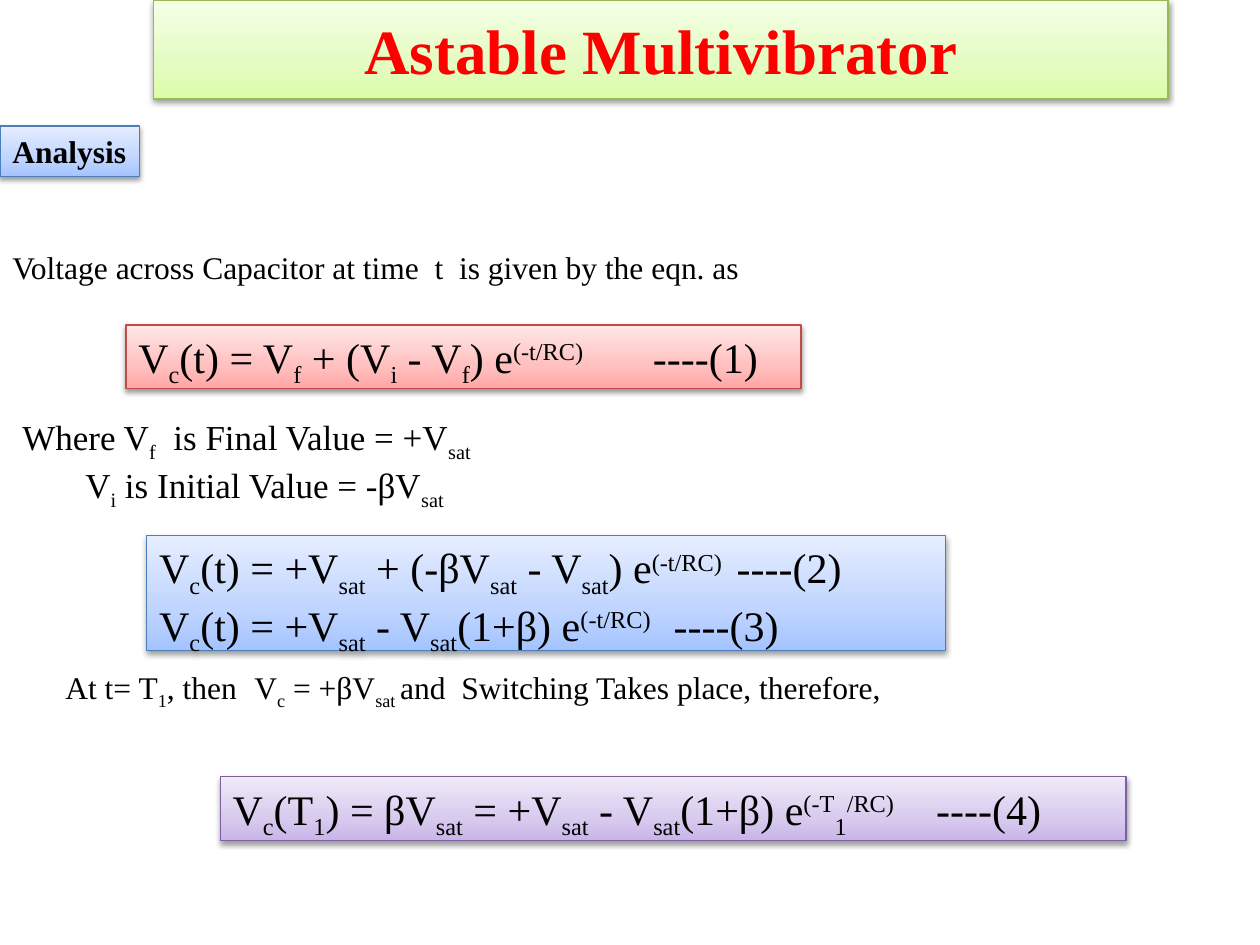
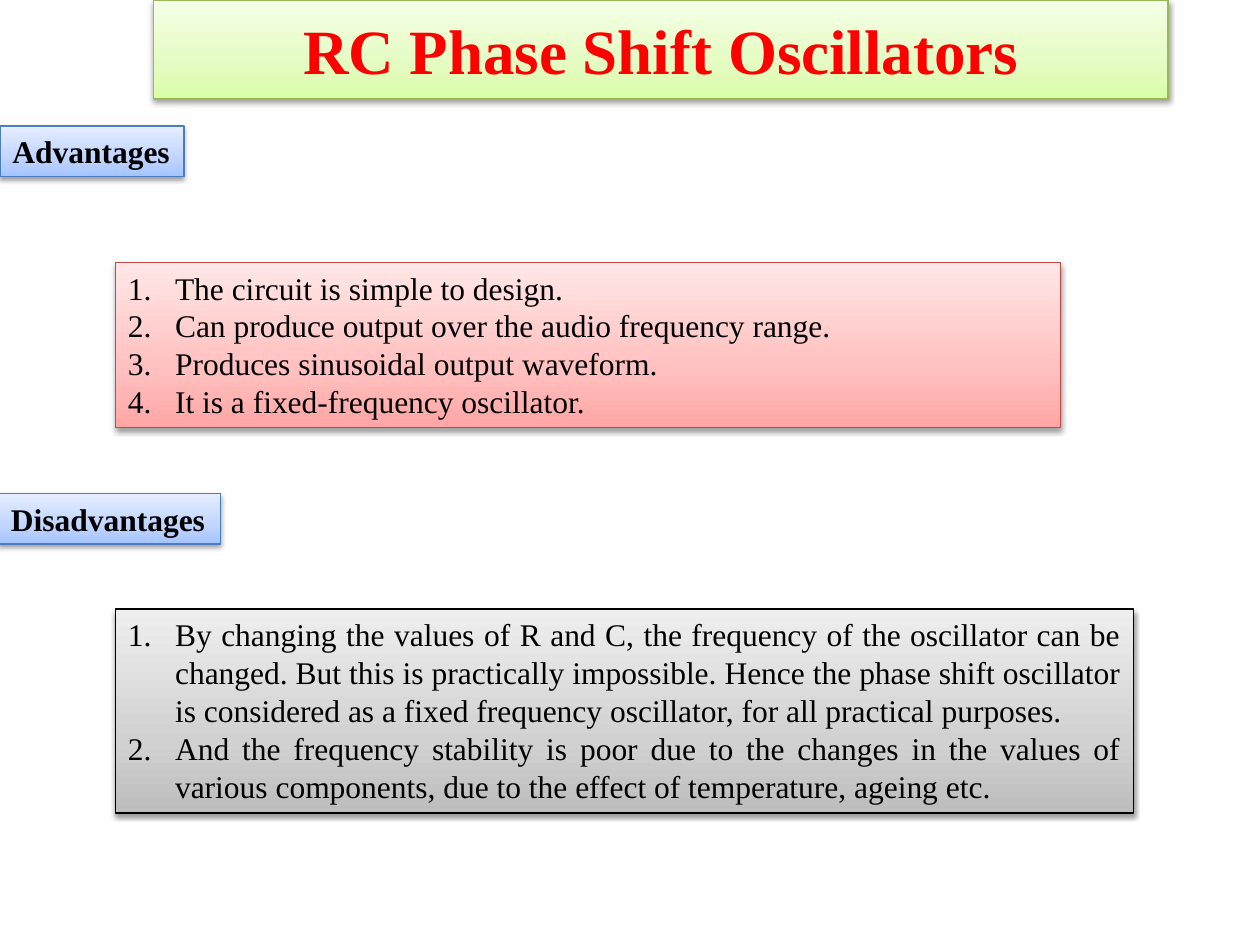
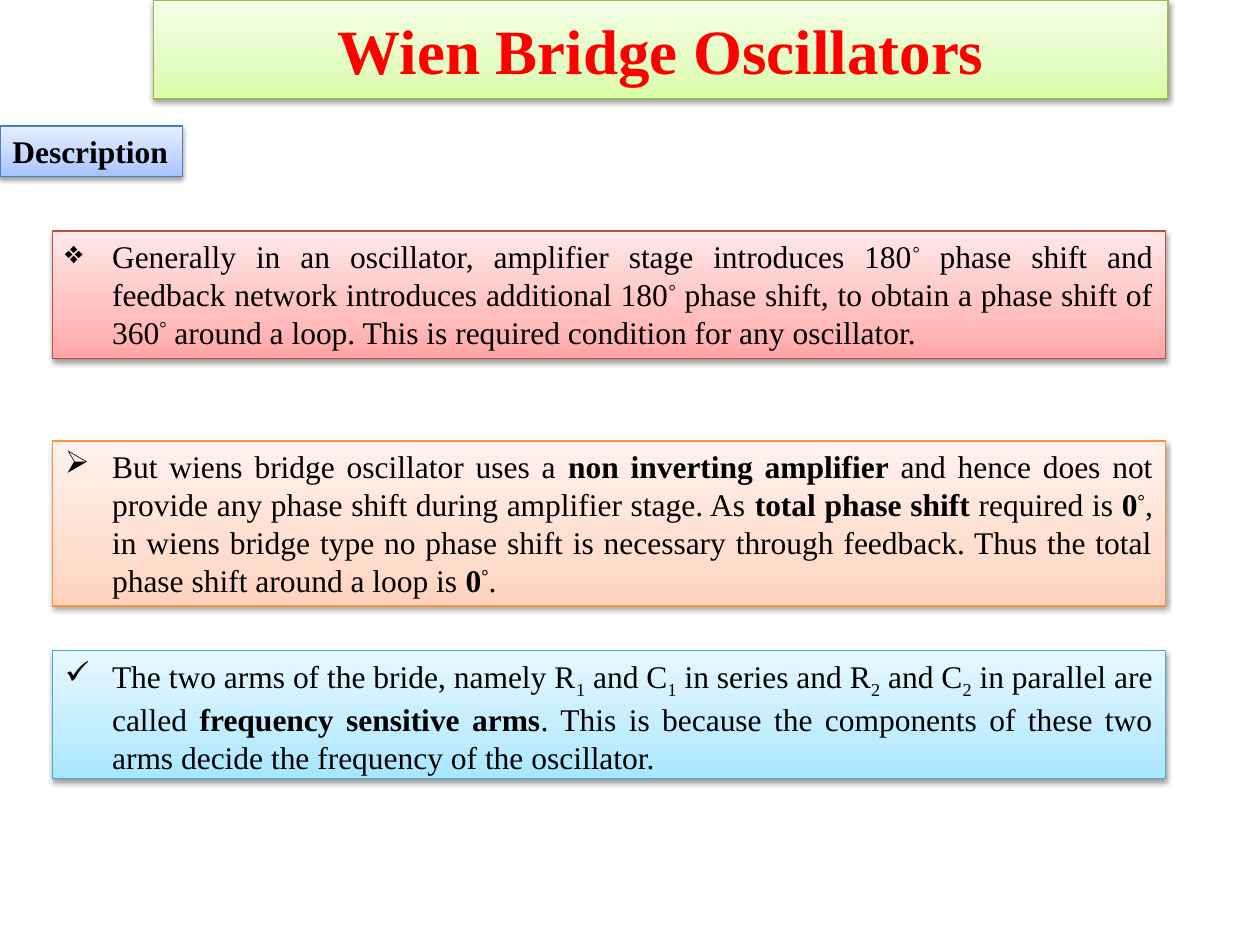
from lxml.etree import SubElement
from pptx import Presentation
from pptx.dml.color import RGBColor as RGB
from pptx.enum.shapes import MSO_SHAPE as SHAPE
from pptx.enum.text import MSO_ANCHOR as ANCHOR
from pptx.enum.text import MSO_AUTO_SIZE as AUTO
from pptx.enum.text import PP_ALIGN as ALIGN
from pptx.oxml.ns import qn
from pptx.util import Cm, Pt

FONT = "Times New Roman"
BLACK = RGB(0x00, 0x00, 0x00)
RED_TEXT = RGB(0xFF, 0x00, 0x00)


def palette(line, *stops):
    """Line colour, then gradient colours from bottom to top."""
    return RGB.from_string(line), [RGB.from_string(c) for c in stops]


GREEN = palette("98B955", "DAFDA7", "E4FCC2", "F5FFE7")
BLUE = palette("4B7EBC", "A4C4FF", "BFD4FF", "E6EEFF")
RED = palette("BF4C48", "FFA6A5", "FFC0BF", "FFE7E7")
PURPLE = palette("7D60A0", "C9B5E8", "D8CBEE", "F0EAF9")
GREY = palette("000000", "BDBDBD", "D1D1D1", "EEEEEE")
ORANGE = palette("F69240", "FFD2BD", "FFDED0", "FFF2ED")
AQUA = palette("46AAC5", "A7E6FF", "C1EDFF", "E7F8FF")
STOPS = (0, 35, 100)

BASELINE = {"~": -25000, "^": 30000}
INDENT = Cm(0.95)


def add_text(p, text, size=18, color=BLACK, bold=False):
    """Write runs; ~ toggles subscript, ^ superscript and * bold."""
    base, part = 0, ""
    for ch in text + "\n":
        if ch not in "~^*\n":
            part += ch
            continue
        if part:
            r = p.add_run()
            r.text = part
            f = r.font
            f.name, f.size, f.bold = FONT, Pt(size), bold
            f.color.rgb = color
            if base:
                r._r.get_or_add_rPr().set("baseline", str(base))
            part = ""
        if ch == "*":
            bold = not bold
        elif ch in BASELINE:
            base = 0 if base else BASELINE[ch]


def add_bullet(p, mark):
    """Hang the paragraph on a character, or on a number if mark is '1.'."""
    pPr = p._p.get_or_add_pPr()
    pPr.set("marL", str(INDENT))
    pPr.set("indent", str(-INDENT))
    if mark == "1.":
        SubElement(pPr, qn("a:buAutoNum"), type="arabicPeriod")
    else:
        SubElement(pPr, qn("a:buChar"), char=mark)


class Deck:
    def __init__(self):
        self.prs = Presentation()
        self.prs.slide_width, self.prs.slide_height = Cm(25.4), Cm(19.05)
        self.s = None

    def slide(self, title):
        self.s = self.prs.slides.add_slide(self.prs.slide_layouts[6])
        self.box((3.1, 0, 20.45, 2), [title], GREEN, size=36, color=RED_TEXT,
                 bold=True, align=ALIGN.CENTER, anchor=ANCHOR.MIDDLE,
                 wrap=True, grow=False)

    def style(self, sp, colors):
        """Gradient fill, thin line and soft shadow."""
        line, fills = colors
        sp.fill.gradient()
        sp.fill.gradient_angle = 90
        spPr = sp._element.spPr
        stops = spPr.find(qn("a:gradFill")).find(qn("a:gsLst"))
        for old in list(stops):
            stops.remove(old)
        for pos, rgb in zip(STOPS, fills):
            gs = SubElement(stops, qn("a:gs"), pos=str(pos * 1000))
            SubElement(gs, qn("a:srgbClr"), val=str(rgb))
        sp.line.color.rgb = line
        sp.line.width = Pt(0.75)
        sp.shadow.inherit = False
        shadow = SubElement(spPr.find(qn("a:effectLst")), qn("a:outerShdw"),
                            blurRad=str(Pt(3.1)), dist=str(Pt(1.6)),
                            dir="5400000", rotWithShape="0")
        rgb = SubElement(shadow, qn("a:srgbClr"), val=str(BLACK))
        SubElement(rgb, qn("a:alpha"), val="38000")

    def box(self, at, lines, colors=None, align=ALIGN.LEFT, anchor=ANCHOR.TOP,
            wrap=False, grow=True, bullet=None, **fmt):
        place = [Cm(v) for v in at]
        if colors:
            sp = self.s.shapes.add_shape(SHAPE.RECTANGLE, *place)
            self.style(sp, colors)
        else:
            sp = self.s.shapes.add_textbox(*place)
        tf = sp.text_frame
        tf.word_wrap, tf.vertical_anchor = wrap, anchor
        tf.auto_size = AUTO.SHAPE_TO_FIT_TEXT if grow else AUTO.NONE
        for i, line in enumerate(lines):
            p = tf.add_paragraph() if i else tf.paragraphs[0]
            p.alignment = align
            if bullet:
                add_bullet(p, bullet)
            add_text(p, line, **fmt)

    def label(self, text, width, left=0, top=2.54):
        self.box((left, top, width, 1.02), [text], BLUE, bold=True)

    def equation(self, at, lines, colors):
        self.box(at, lines, colors, size=24)

    def points(self, at, lines, colors, bullet="1."):
        self.box(at, lines, colors, align=ALIGN.JUSTIFY, wrap=True,
                 bullet=bullet)


def analysis(deck):
    deck.slide("Astable Multivibrator")
    deck.label("Analysis", 2.82)
    deck.box((0, 4.85, 18.42, 1.07),
             ["Voltage across Capacitor at time  t  is given by the eqn. as"],
             anchor=ANCHOR.MIDDLE, wrap=True)
    deck.equation((2.54, 6.55, 13.61, 1.28),
                  ["V~c~(t) = V~f~ + (V~i~ - V~f~) e^(-t/RC)\t^ ----(1)"], RED)
    deck.box((0.2, 8.26, 10.39, 1.96),
             ["Where V~f~  is Final Value = +V~sat~",
              "\tV~i~ is Initial Value = -βV~sat~"], size=20)
    deck.equation(
        (2.96, 10.8, 16.1, 2.31),
        ["V~c~(t) = +V~sat~ + (-βV~sat~ - V~sat~) e^(-t/RC)\t^ ----(2)",
         "V~c~(t) = +V~sat~ - V~sat~(1+β) e^(-t/RC)\t^ ----(3)"], BLUE)
    deck.box((1.07, 13.34, 18.49, 1.02),
             ["At t= T~1~, then\tV~c~ = +βV~sat ~"
              "and  Switching Takes place, therefore,"])
    deck.equation((4.44, 15.66, 18.26, 1.28),
                  ["V~c~(T~1~) = βV~sat~ = +V~sat~ - V~sat~(1+β) "
                   "e^(-T^~1~^/RC)\t^ ----(4)"], PURPLE)


def phase_shift(deck):
    deck.slide("RC Phase Shift Oscillators")
    deck.label("Advantages", 3.71)
    deck.points((2.33, 5.29, 19.05, 3.33),
                ["The circuit is simple to design.",
                 "Can produce output over the audio frequency range.",
                 "Produces sinusoidal output waveform.",
                 "It is a fixed-frequency oscillator."], RED)
    deck.label("Disadvantages", 4.47, left=-0.03, top=9.95)
    deck.points(
        (2.33, 12.28, 20.52, 4.11),
        ["By changing the values of R and C, the frequency of the oscillator "
         "can be changed. But this is practically impossible. Hence the phase "
         "shift oscillator is considered as a fixed frequency oscillator, for "
         "all practical purposes.",
         "And the frequency stability is poor due to the changes in the values "
         "of various components, due to the effect of temperature, ageing "
         "etc."], GREY)


def wien_bridge(deck):
    deck.slide("Wien Bridge Oscillators")
    deck.label("Description", 3.68)
    notes = [
        ("❖", RED, 2.57,
         "Generally in an oscillator, amplifier stage introduces 180^°^ phase "
         "shift and feedback network introduces additional 180^°^ phase shift, "
         "to obtain a phase shift of 360^°^ around a loop. This is required "
         "condition for any oscillator."),
        ("➢", ORANGE, 3.33,
         "But wiens bridge oscillator uses a *non inverting amplifier *and "
         "hence does not provide any phase shift during amplifier stage. As "
         "*total phase shift *required is *0^°^*, in wiens bridge type no "
         "phase shift is necessary through feedback. Thus the total phase "
         "shift around a loop is *0^°^*."),
        ("✓", AQUA, 2.57,
         "The two arms of the bride, namely R~1~ and C~1~ in series and "
         "R~2~ and C~2~ in parallel are called* frequency sensitive arms*. "
         "This is because the components of these two arms decide the "
         "frequency of the oscillator."),
    ]
    for i, (mark, colors, height, text) in enumerate(notes):
        deck.points((1.06, 4.66 + 4.23 * i, 22.43, height), [text], colors,
                    bullet=mark)


def main():
    deck = Deck()
    analysis(deck)
    phase_shift(deck)
    wien_bridge(deck)
    deck.prs.save("out.pptx")


if __name__ == "__main__":
    main()
